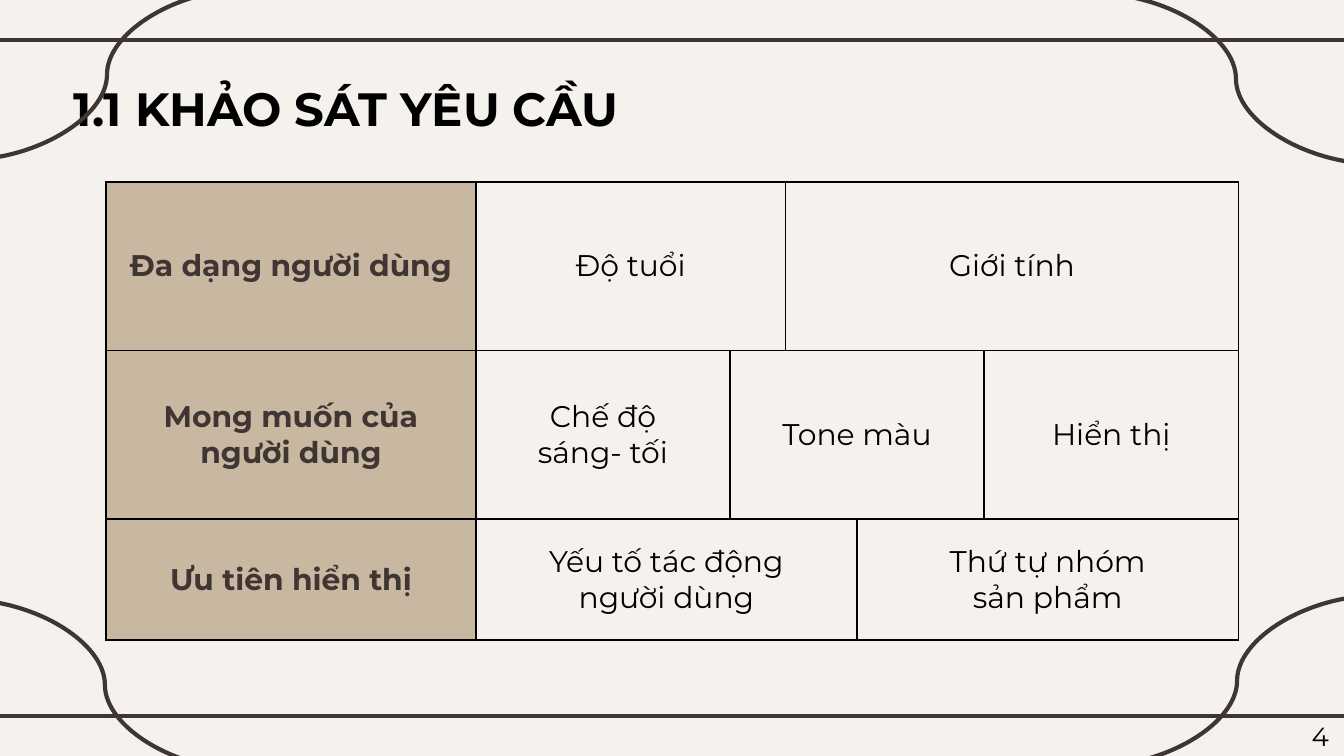
import itertools
from dataclasses import dataclass

import pptx
import pptx.dml.color
import pptx.enum.shapes
import pptx.enum.text
import pptx.oxml
import pptx.oxml.ns
import pptx.util

Pt = pptx.util.Pt
ALIGN = pptx.enum.text.PP_ALIGN
ANCHOR = pptx.enum.text.MSO_ANCHOR
KIND = pptx.enum.shapes.MSO_CONNECTOR
NS = pptx.oxml.ns.nsdecls("a")
FONT = "Montserrat"
HEX = {"page": "F5F2EE", "line": "3F3533", "head": "C8B8A2", "text": "000000"}


@dataclass
class Line:
    kind: int
    x1: float
    y1: float
    x2: float
    y2: float


@dataclass
class Cell:
    text: str
    row: int
    col: int
    span: int = 1


LINES = [
    Line(KIND.STRAIGHT, -6, 21.6, 726, 21.6),
    Line(KIND.STRAIGHT, -6, 383.8, 726, 383.8),
    Line(KIND.CURVE, -19.6, 321.2, 132, 412.6),
    Line(KIND.CURVE, 586.3, -3.5, 738, 87.9),
    Line(KIND.CURVE, 738.6, 319, 586.9, 410.4),
    Line(KIND.CURVE, 133.2, -5.8, -18.5, 85.7),
]

CELLS = [
    Cell("Đa dạng người dùng", 0, 0),
    Cell("Độ tuổi", 0, 1, 2),
    Cell("Giới tính", 0, 3, 3),
    Cell("Mong muốn của\nngười dùng", 1, 0),
    Cell("Chế độ\nsáng- tối", 1, 1),
    Cell("Tone màu", 1, 2, 3),
    Cell("Hiển thị", 1, 5),
    Cell("Ưu tiên hiển thị", 2, 0),
    Cell("Yếu tố tác động\nngười dùng", 2, 1, 3),
    Cell("Thứ tự nhóm\nsản phẩm", 2, 4, 2),
]

# Column edges: the right part is split in thirds, halves and once at 166 pt
HEAD, BODY = 198, 408.6
EDGES = [0, HEAD] + [HEAD + x for x in (BODY / 3, 166, BODY / 2, BODY * 2 / 3, BODY)]
ROWS = [90.4, 90.4, 64.6]


def tint(key: str) -> pptx.dml.color.RGBColor:
    return pptx.dml.color.RGBColor.from_string(HEX[key])


def style(frame, size: float, key: str, bold: bool, align) -> None:
    for para in frame.paragraphs:
        para.alignment = align
        for run in para.runs:
            run.font.size = Pt(size)
            run.font.bold = bold
            run.font.color.rgb = tint(key)
            run.font.name = FONT


def draw_line(slide, line: Line) -> None:
    conn = slide.shapes.add_connector(
        line.kind, Pt(line.x1), Pt(line.y1), Pt(line.x2), Pt(line.y2))
    conn.line.color.rgb = tint("line")
    conn.line.width = Pt(2.25)
    conn._element.spPr.append(pptx.oxml.parse_xml(f"<a:effectLst {NS}/>"))


def add_rim(cell) -> None:
    props = cell._tc.get_or_add_tcPr()
    for spot, side in enumerate("LRTB"):
        props.insert(spot, pptx.oxml.parse_xml(
            f'<a:ln{side} {NS} w="{Pt(1)}"><a:solidFill>'
            f'<a:srgbClr val="{HEX["text"]}"/></a:solidFill></a:ln{side}>'))


def draw_cell(table, item: Cell) -> None:
    cell = table.cell(item.row, item.col)
    if item.span > 1:
        cell.merge(table.cell(item.row, item.col + item.span - 1))
    cell.text_frame.text = item.text
    cell.vertical_anchor = ANCHOR.MIDDLE
    cell.margin_left = cell.margin_right = Pt(7.2)
    cell.margin_top = cell.margin_bottom = Pt(7.2)
    head = item.col == 0
    style(cell.text_frame, 16, "line" if head else "text", head, ALIGN.CENTER)
    if head:
        cell.fill.solid()
        cell.fill.fore_color.rgb = tint("head")


def draw_table(slide) -> None:
    cols = [b - a for a, b in zip(EDGES, EDGES[1:])]
    table = slide.shapes.add_table(
        len(ROWS), len(cols), Pt(56.9), Pt(97.4), Pt(EDGES[-1]), Pt(sum(ROWS))).table
    table.first_row = table.horz_banding = False
    for col, width in zip(table.columns, cols):
        col.width = Pt(width)
    for row, height in zip(table.rows, ROWS):
        row.height = Pt(height)
    for r, c in itertools.product(range(len(ROWS)), range(len(cols))):
        table.cell(r, c).fill.background()
        add_rim(table.cell(r, c))
    for item in CELLS:
        draw_cell(table, item)


def draw_title(slide) -> None:
    title = slide.shapes.title
    title.left, title.top, title.width, title.height = map(Pt, (32.4, 35.3, 446.4, 45.4))
    frame = title.text_frame
    frame.text = "1.1 KHẢO SÁT YÊU CẦU"
    frame.margin_left = frame.margin_right = Pt(7.2)
    frame.margin_top = frame.margin_bottom = Pt(7.2)
    frame.vertical_anchor = ANCHOR.MIDDLE
    style(frame, 25, "text", True, ALIGN.JUSTIFY)
    # Soft text shadow
    fill = frame.paragraphs[0].runs[0].font._element.find(pptx.oxml.ns.qn("a:solidFill"))
    fill.addnext(pptx.oxml.parse_xml(
        f'<a:effectLst {NS}><a:outerShdw blurRad="{Pt(3)}" dist="{Pt(3)}" dir="2700000">'
        f'<a:srgbClr val="{HEX["text"]}"><a:alpha val="43000"/></a:srgbClr>'
        '</a:outerShdw></a:effectLst>'))


def draw_number(slide) -> None:
    box = slide.shapes.add_textbox(Pt(695.5), Pt(382.3), Pt(18), Pt(24.5))
    box.text_frame.text = "4"
    box.text_frame.word_wrap = False
    style(box.text_frame, 14, "text", False, ALIGN.LEFT)


def main() -> None:
    deck = pptx.Presentation()
    deck.slide_width, deck.slide_height = Pt(720), Pt(405)
    slide = deck.slides.add_slide(deck.slide_layouts[5])
    slide.background.fill.solid()
    slide.background.fill.fore_color.rgb = tint("page")
    # Frame lines first, so that the content lies above them
    for line in LINES:
        draw_line(slide, line)
    draw_table(slide)
    draw_title(slide)
    draw_number(slide)
    deck.save("out.pptx")


if __name__ == "__main__":
    main()
